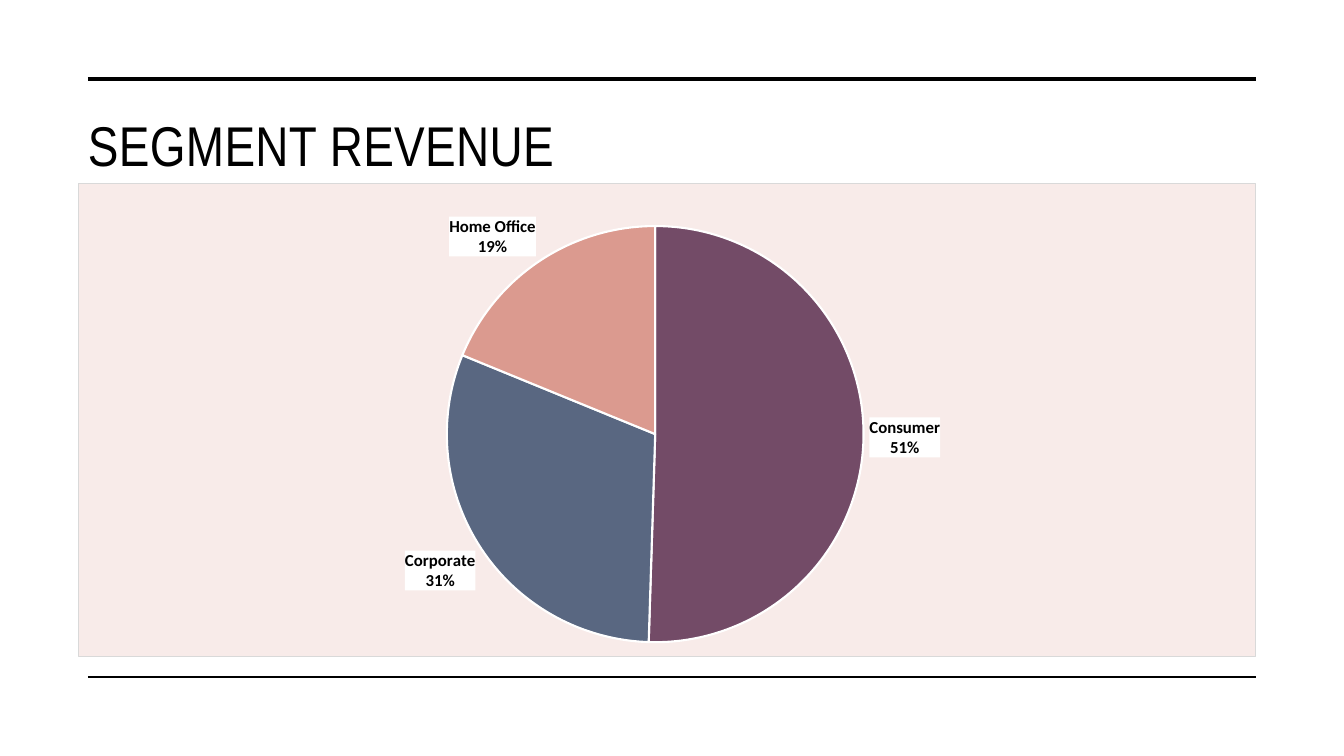
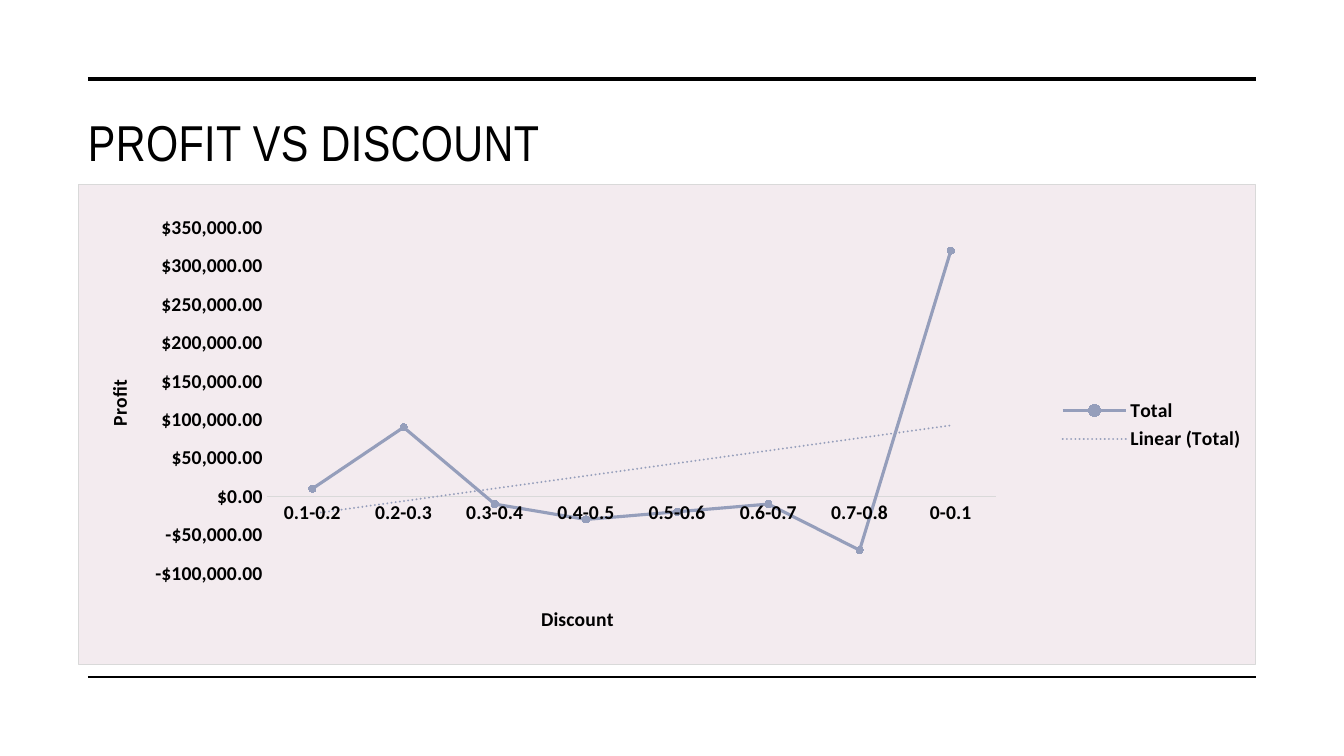
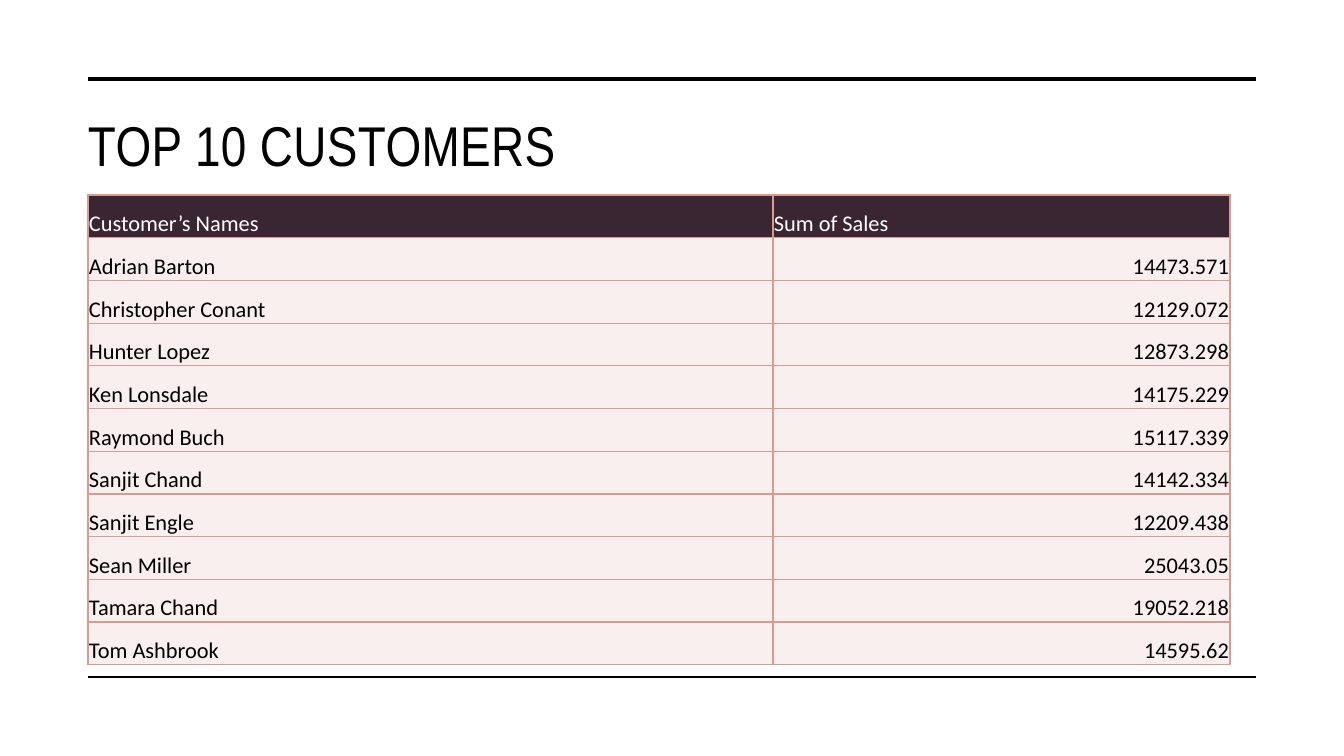
import dataclasses

import lxml.etree
import pptx
import pptx.chart.axis
import pptx.chart.chart
import pptx.chart.data
import pptx.dml.color
import pptx.enum.chart
import pptx.enum.shapes
import pptx.enum.text
import pptx.oxml
import pptx.oxml.ns
import pptx.presentation
import pptx.slide
import pptx.util

PX_PER_INCH = 100.8
TITLE_FONT = "Arial Narrow"
BODY_FONT = "Calibri"

Color = pptx.dml.color.RGBColor
BLACK = Color(0x00, 0x00, 0x00)
WHITE = Color(0xFF, 0xFF, 0xFF)
PLUM = Color(0x73, 0x4B, 0x67)
SLATE = Color(0x59, 0x67, 0x81)
ROSE = Color(0xDB, 0x9A, 0x8F)
PERIWINKLE = Color(0x95, 0x9E, 0xBB)
PALE_ROSE = Color(0xF8, 0xEB, 0xE9)
PALE_PLUM = Color(0xF3, 0xEB, 0xEF)
DARK_PLUM = Color(0x3A, 0x26, 0x33)
CELL_ROSE = Color(0xF8, 0xEF, 0xEE)
BORDER_GRAY = Color(0xD9, 0xD9, 0xD9)


@dataclasses.dataclass(frozen=True)
class Frame:
    """A rectangle in px."""
    left: int
    top: int
    width: int
    height: int


@dataclasses.dataclass(frozen=True)
class Rule:
    """A horizontal line across the page."""
    top: int
    weight: float


RULES = (Rule(79, 3.5), Rule(677, 1))
RULE_LEFT, RULE_RIGHT = 88, 1256
TITLE_FRAME = Frame(78, 101, 1178, 144)

SEGMENTS = (("Consumer", 51, PLUM), ("Corporate", 31, SLATE), ("Home Office", 19, ROSE))
DISCOUNT_PROFITS = {
    "0.1-0.2": 10000, "0.2-0.3": 90000, "0.3-0.4": -10000, "0.4-0.5": -30000,
    "0.5-0.6": -20000, "0.6-0.7": -10000, "0.7-0.8": -70000, "0-0.1": 320000,
}
CUSTOMER_ROWS = (
    ("Customer’s Names", "Sum of Sales"),
    ("Adrian Barton", "14473.571"),
    ("Christopher Conant", "12129.072"),
    ("Hunter Lopez", "12873.298"),
    ("Ken Lonsdale", "14175.229"),
    ("Raymond Buch", "15117.339"),
    ("Sanjit Chand", "14142.334"),
    ("Sanjit Engle", "12209.438"),
    ("Sean Miller", "25043.05"),
    ("Tamara Chand", "19052.218"),
    ("Tom Ashbrook", "14595.62"),
)
CUSTOMER_FRAME = Frame(88, 195, 1142, 470)
CUSTOMER_COLUMNS = (685, 457)


# Shared helpers

def emu(px: int) -> pptx.util.Emu:
    return pptx.util.Emu(round(px * 914400 / PX_PER_INCH))


def place(frame: Frame) -> tuple:
    return emu(frame.left), emu(frame.top), emu(frame.width), emu(frame.height)


def element(xml: str) -> lxml.etree.ElementBase:
    """Parse a fragment whose tags have the prefix a or c."""
    namespaces = pptx.oxml.ns.nsdecls("a", "c")
    return pptx.oxml.parse_xml(f"<holder {namespaces}>{xml}</holder>")[0]


def solid(color: Color) -> str:
    return f'<a:solidFill><a:srgbClr val="{color}"/></a:solidFill>'


def style_font(font, size: float, color: Color, name: str, bold: bool = False) -> None:
    font.size = pptx.util.Pt(size)
    font.name = name
    font.bold = bold
    font.color.rgb = color


def add_page(deck: pptx.presentation.Presentation, title: str, size: int) -> pptx.slide.Slide:
    """Add a blank page with its title and the two rules."""
    page = deck.slides.add_slide(deck.slide_layouts[6])
    box = page.shapes.add_textbox(*place(TITLE_FRAME))
    text = box.text_frame
    text.word_wrap = True
    text.margin_left = text.margin_right = emu(10)
    text.margin_top = emu(10)
    text.vertical_anchor = pptx.enum.text.MSO_ANCHOR.TOP
    span = text.paragraphs[0].add_run()
    span.text = title
    style_font(span.font, size, BLACK, TITLE_FONT)
    span.font._element.set("spc", "30")
    for rule in RULES:
        line = page.shapes.add_connector(
            pptx.enum.shapes.MSO_CONNECTOR.STRAIGHT,
            emu(RULE_LEFT), emu(rule.top), emu(RULE_RIGHT), emu(rule.top))
        line.line.color.rgb = BLACK
        line.line.width = pptx.util.Pt(rule.weight)
        line._element.spPr.append(element("<a:effectLst/>"))
    return page


# Chart helpers

def add_chart(page: pptx.slide.Slide, kind: pptx.enum.chart.XL_CHART_TYPE, frame: Frame,
              data: pptx.chart.data.CategoryChartData, size: int,
              fill: Color) -> pptx.chart.chart.Chart:
    """Add a chart with bold text on a bordered panel."""
    chart = page.shapes.add_chart(kind, *place(frame), data).chart
    chart.has_title = False
    chart.has_legend = False
    style_font(chart.font, size, BLACK, BODY_FONT, True)
    chart.element.find(pptx.oxml.ns.qn("c:chart")).addnext(element(
        f'<c:spPr>{solid(fill)}<a:ln w="9525">{solid(BORDER_GRAY)}</a:ln></c:spPr>'))
    return chart


def set_layout(parent: lxml.etree.ElementBase, left: float, top: float,
               width: float = 0, height: float = 0) -> None:
    """Fix a chart part at fractions of the chart; size only the plot area."""
    for old in parent.findall(pptx.oxml.ns.qn("c:layout")):
        parent.remove(old)
    target = '<c:layoutTarget val="inner"/>' if width else ""
    modes = '<c:xMode val="edge"/><c:yMode val="edge"/>'
    extent = f'<c:w val="{width}"/><c:h val="{height}"/>' if width else ""
    layout = element(f'<c:layout><c:manualLayout>{target}{modes}<c:x val="{left}"/>'
                     f'<c:y val="{top}"/>{extent}</c:manualLayout></c:layout>')
    has_text = parent.find(pptx.oxml.ns.qn("c:tx")) is not None
    parent.insert(1 if has_text else 0, layout)


def plot_area(chart: pptx.chart.chart.Chart) -> lxml.etree.ElementBase:
    return chart.element.find(".//" + pptx.oxml.ns.qn("c:plotArea"))


def style_axis(axis: pptx.chart.axis._BaseAxis, title: str, left: float, top: float) -> None:
    axis.has_major_gridlines = False
    axis.major_tick_mark = axis.minor_tick_mark = pptx.enum.chart.XL_TICK_MARK.NONE
    style_font(axis.tick_labels.font, 14, BLACK, BODY_FONT, True)
    span = axis.axis_title.text_frame.paragraphs[0].add_run()
    span.text = title
    style_font(span.font, 14, BLACK, BODY_FONT, True)
    set_layout(axis.axis_title._element, left, top)


# Pages

def add_segment_page(deck: pptx.presentation.Presentation) -> None:
    page = add_page(deck, "SEGMENT REVENUE", 40)
    data = pptx.chart.data.CategoryChartData()
    data.categories = [name for name, _, _ in SEGMENTS]
    data.add_series("Series 1", [share for _, share, _ in SEGMENTS])
    chart = add_chart(page, pptx.enum.chart.XL_CHART_TYPE.PIE,
                      Frame(78, 183, 1178, 474), data, 12, PALE_ROSE)
    set_layout(plot_area(chart), 0.31, 0.09, 0.36, 0.88)
    series = chart.plots[0].series[0]
    for index, (_, _, color) in enumerate(SEGMENTS):
        look = series.points[index].format
        look.fill.solid()
        look.fill.fore_color.rgb = color
        look.line.color.rgb = WHITE
        look.line.width = pptx.util.Pt(1.5)

    # Category and share on white labels
    labels = series.data_labels
    style_font(labels.font, 12, BLACK, BODY_FONT, True)
    labels.number_format = '0"%"'
    labels.number_format_is_linked = False
    labels.position = pptx.enum.chart.XL_LABEL_POSITION.OUTSIDE_END
    labels.show_category_name = True
    labels.show_value = True
    label_xml = labels._element
    label_xml.find(pptx.oxml.ns.qn("c:txPr")).addprevious(
        element(f"<c:spPr>{solid(WHITE)}</c:spPr>"))
    label_xml.find(pptx.oxml.ns.qn("c:showBubbleSize")).addnext(
        element("<c:separator>\n</c:separator>"))


def add_discount_page(deck: pptx.presentation.Presentation) -> None:
    page = add_page(deck, "PROFIT VS DISCOUNT", 36)
    data = pptx.chart.data.CategoryChartData()
    data.categories = list(DISCOUNT_PROFITS)
    data.add_series("Total", list(DISCOUNT_PROFITS.values()))
    chart = add_chart(page, pptx.enum.chart.XL_CHART_TYPE.LINE_MARKERS,
                      Frame(78, 184, 1178, 481), data, 14, PALE_PLUM)
    set_layout(plot_area(chart), 0.16, 0.09, 0.62, 0.72)

    # Axes and legend
    style_axis(chart.category_axis, "Discount", 0.39, 0.87)
    chart.category_axis.format.line.color.rgb = BORDER_GRAY
    chart.category_axis.format.line.width = pptx.util.Pt(0.75)
    profit_axis = chart.value_axis
    style_axis(profit_axis, "Profit", 0.02, 0.4)
    profit_axis.format.line.fill.background()
    profit_axis.minimum_scale, profit_axis.maximum_scale = -100000, 350000
    profit_axis.major_unit = 50000
    profit_axis.tick_labels.number_format = '"$"#,##0.00'
    profit_axis.tick_labels.number_format_is_linked = False
    chart.has_legend = True
    chart.legend.position = pptx.enum.chart.XL_LEGEND_POSITION.RIGHT
    chart.legend.include_in_layout = False
    style_font(chart.legend.font, 14, BLACK, BODY_FONT, True)

    # Profit line with its trend
    series = chart.plots[0].series[0]
    series.smooth = False
    series.format.line.color.rgb = PERIWINKLE
    series.format.line.width = pptx.util.Pt(2.25)
    series.marker.style = pptx.enum.chart.XL_MARKER_STYLE.CIRCLE
    series.marker.size = 5
    series.marker.format.fill.solid()
    series.marker.format.fill.fore_color.rgb = PERIWINKLE
    series.marker.format.line.color.rgb = PERIWINKLE
    series._element.find(pptx.oxml.ns.qn("c:cat")).addprevious(element(
        f'<c:trendline><c:spPr><a:ln w="19050" cap="rnd">{solid(PERIWINKLE)}'
        '<a:prstDash val="sysDot"/></a:ln></c:spPr><c:trendlineType val="linear"/>'
        '<c:dispRSqr val="0"/><c:dispEq val="0"/></c:trendline>'))


def fill_cell(cell, text: str, is_header: bool, is_number: bool) -> None:
    cell.margin_left = cell.margin_right = cell.margin_top = emu(1)
    cell.margin_bottom = 0
    cell.vertical_anchor = pptx.enum.text.MSO_ANCHOR.BOTTOM
    para = cell.text_frame.paragraphs[0]
    if is_number:
        para.alignment = pptx.enum.text.PP_ALIGN.RIGHT
    span = para.add_run()
    span.text = text
    style_font(span.font, 16, WHITE if is_header else BLACK, BODY_FONT)
    properties = cell._tc.get_or_add_tcPr()
    for side in ("lnL", "lnR", "lnT", "lnB"):
        properties.append(element(f'<a:{side} w="12700">{solid(ROSE)}</a:{side}>'))
    cell.fill.solid()
    cell.fill.fore_color.rgb = DARK_PLUM if is_header else CELL_ROSE


def add_customer_page(deck: pptx.presentation.Presentation) -> None:
    page = add_page(deck, "TOP 10 CUSTOMERS", 40)
    table = page.shapes.add_table(
        len(CUSTOMER_ROWS), len(CUSTOMER_COLUMNS), *place(CUSTOMER_FRAME)).table
    table.horz_banding = False
    for column, width in zip(table.columns, CUSTOMER_COLUMNS):
        column.width = emu(width)
    for row_index, values in enumerate(CUSTOMER_ROWS):
        is_header = row_index == 0
        for column_index, text in enumerate(values):
            is_number = column_index == 1 and not is_header
            fill_cell(table.cell(row_index, column_index), text, is_header, is_number)


def main() -> None:
    deck = pptx.Presentation()
    deck.slide_width, deck.slide_height = emu(1344), emu(756)
    add_segment_page(deck)
    add_discount_page(deck)
    add_customer_page(deck)
    deck.save("out.pptx")


if __name__ == "__main__":
    main()
